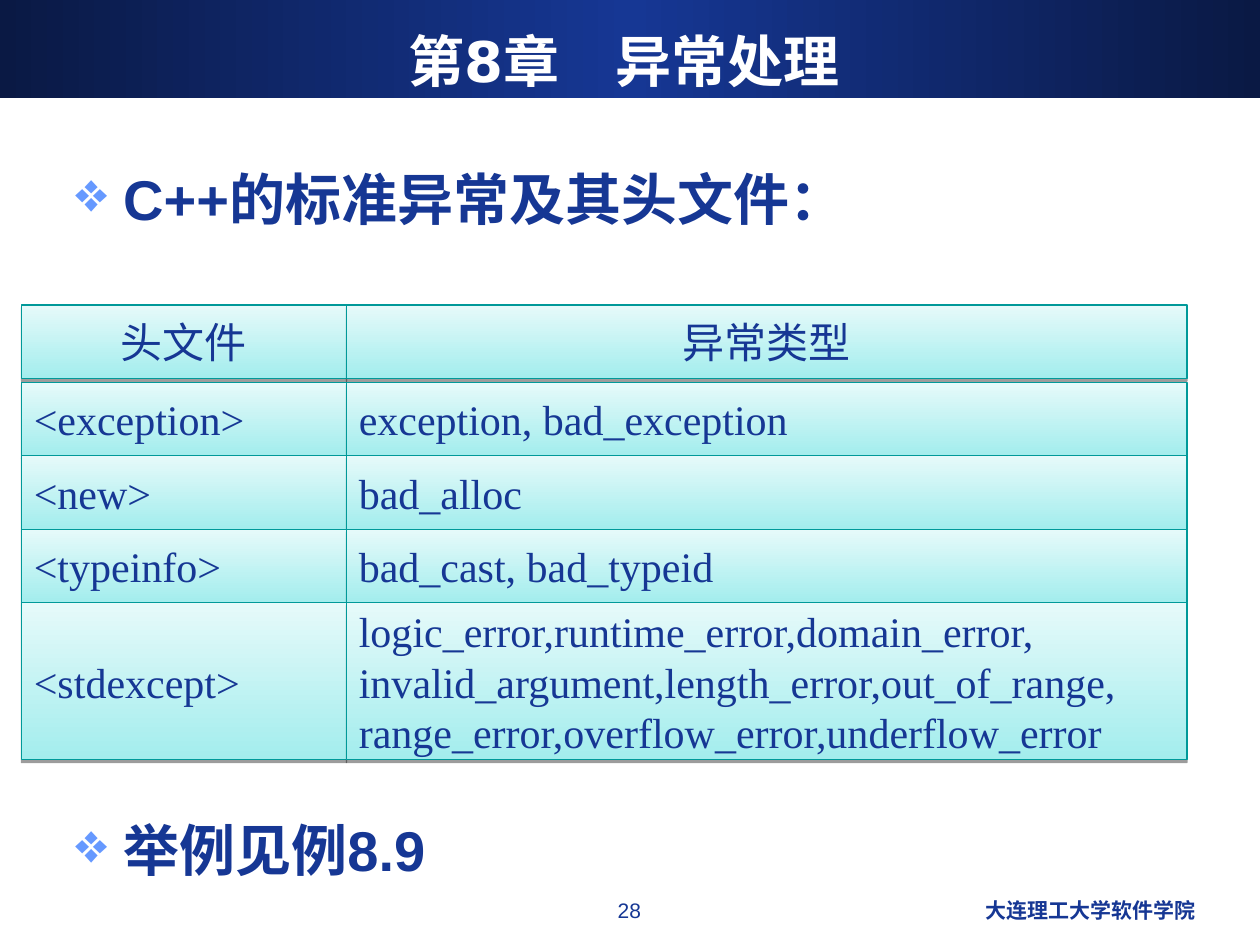
from copy import deepcopy

from lxml import etree
from pptx import Presentation
from pptx.dml.color import RGBColor
from pptx.enum import shapes, text
from pptx.oxml.ns import qn
from pptx.util import Inches, Pt

NAVY = RGBColor(0x16, 0x37, 0x94)
DARK_NAVY = RGBColor(0x0A, 0x19, 0x44)
WHITE = RGBColor(0xFF, 0xFF, 0xFF)
TEAL = RGBColor(0x00, 0x99, 0x99)
AQUA = RGBColor(0xA3, 0xED, 0xED)
PALE_AQUA = RGBColor(0xE6, 0xFA, 0xFA)
BULLET_BLUE = RGBColor(0x66, 0x99, 0xFF)

LEFT, CENTER, RIGHT = (text.PP_ALIGN.LEFT, text.PP_ALIGN.CENTER,
                       text.PP_ALIGN.RIGHT)

ROWS = [
    ("头文件", "异常类型"),
    ("<exception>", "exception, bad_exception"),
    ("<new>", "bad_alloc"),
    ("<typeinfo>", "bad_cast, bad_typeid"),
    ("<stdexcept>", "logic_error,runtime_error,domain_error,\n"
                    "invalid_argument,length_error,out_of_range,\n"
                    "range_error,overflow_error,underflow_error"),
]


def write(sp, content, size=24, font="Times New Roman", color=NAVY, bold=False,
          align=LEFT, anchor=text.MSO_ANCHOR.TOP, wrap=True, bullet=None):
    """Fill a shape with one paragraph per line of content."""
    tf = sp.text_frame
    tf.word_wrap = wrap
    tf.vertical_anchor = anchor
    for i, line in enumerate(content.split("\n")):
        p = tf.paragraphs[0] if i == 0 else tf.add_paragraph()
        p.alignment = align
        if bullet:
            add_bullet(p, bullet)
        r = p.add_run()
        r.text = line
        r.font.size, r.font.name, r.font.bold = Pt(size), font, bold
        r.font.color.rgb = color


def add_bullet(p, char):
    pPr = p._p.get_or_add_pPr()
    pPr.set("marL", str(Inches(0.38)))
    pPr.set("indent", str(-Inches(0.38)))
    clr = etree.SubElement(pPr, qn("a:buClr"))
    etree.SubElement(clr, qn("a:srgbClr"), val=str(BULLET_BLUE))
    etree.SubElement(pPr, qn("a:buChar"), char=char)


def set_gradient(sp, colors, angle):
    """Spread the colours evenly along a linear gradient."""
    sp.fill.gradient()
    sp.fill.gradient_angle = angle
    stops = sp._element.spPr.find(".//" + qn("a:gsLst"))
    while len(stops) < len(colors):
        stops.append(deepcopy(stops[0]))
    for i, (stop, color) in enumerate(zip(sp.fill.gradient_stops, colors)):
        stop.position = i / (len(colors) - 1)
        stop.color.rgb = color


def add_drop_shadow(sp):
    effects = sp._element.spPr.find(qn("a:effectLst"))
    shadow = etree.SubElement(effects, qn("a:outerShdw"), blurRad="0",
                              dist=str(Pt(1.6)), dir="5400000",
                              rotWithShape="0")
    clr = etree.SubElement(shadow, qn("a:srgbClr"), val="000000")
    etree.SubElement(clr, qn("a:alpha"), val="38000")


def add_text(s, x, y, w, h, content, **fmt):
    write(s.shapes.add_textbox(x, y, w, h), content, **fmt)


def add_header(s, x, y, w, h):
    band = s.shapes.add_shape(shapes.MSO_SHAPE.RECTANGLE, x, y, w, h)
    band.shadow.inherit = False
    band.line.fill.background()
    set_gradient(band, [DARK_NAVY, NAVY, DARK_NAVY], 0)
    add_text(s, x + Inches(0.33), y + Inches(0.17), Inches(9.25), Inches(0.62),
             "第8章　异常处理", size=32, font="DejaVu Sans", color=WHITE,
             bold=True, align=CENTER, anchor=text.MSO_ANCHOR.MIDDLE)


def add_bullet_line(s, x, y, w, h, content):
    add_text(s, x, y, w, h, content, size=32, font="Arial", bold=True,
             bullet="❖")


def add_cell(s, x, y, w, h, content, align):
    sp = s.shapes.add_shape(shapes.MSO_SHAPE.FLOWCHART_PROCESS, x, y, w, h)
    sp.shadow.inherit = False
    add_drop_shadow(sp)
    set_gradient(sp, [PALE_AQUA, AQUA], 270)
    sp.line.color.rgb = TEAL
    sp.line.width = Pt(0.75)
    write(sp, content, align=align, anchor=text.MSO_ANCHOR.MIDDLE, wrap=False)


def add_exception_grid(s, x, y, w, h):
    """Header row, a small gap, even rows, and a last row that takes the rest."""
    name_w = Inches(2.58)
    row_h = Inches(1.75) // 3
    header_gap = Inches(0.03)
    top = y
    for i, (header_file, types) in enumerate(ROWS):
        cell_h = y + h - top if i == len(ROWS) - 1 else row_h
        align = CENTER if i == 0 else LEFT
        add_cell(s, x, top, name_w, cell_h, header_file, align)
        add_cell(s, x + name_w, top, w - name_w, cell_h, types, align)
        top += cell_h + (header_gap if i == 0 else 0)


def add_footer(s, y, h):
    add_text(s, Inches(3.83), y, Inches(2.33), h, "28",
             size=12, font="Arial", align=CENTER)
    add_text(s, Inches(6.42), y, Inches(3.17), h, "大连理工大学软件学院",
             size=12, font="Arial", bold=True, align=RIGHT)


def main():
    prs = Presentation()
    prs.slide_width, prs.slide_height = Inches(10), Inches(7.5)
    s = prs.slides.add_slide(prs.slide_layouts[6])
    add_header(s, 0, 0, prs.slide_width, Inches(0.78))
    for y, content in ((1.26, "C++的标准异常及其头文件："), (6.42, "举例见例8.9")):
        add_bullet_line(s, Inches(0.5), Inches(y), Inches(9), Inches(0.63),
                        content)
    add_exception_grid(s, Inches(0.17), Inches(2.42), Inches(9.25),
                       Inches(3.61))
    add_footer(s, Inches(7.07), Inches(0.35))
    prs.save("out.pptx")


if __name__ == "__main__":
    main()
